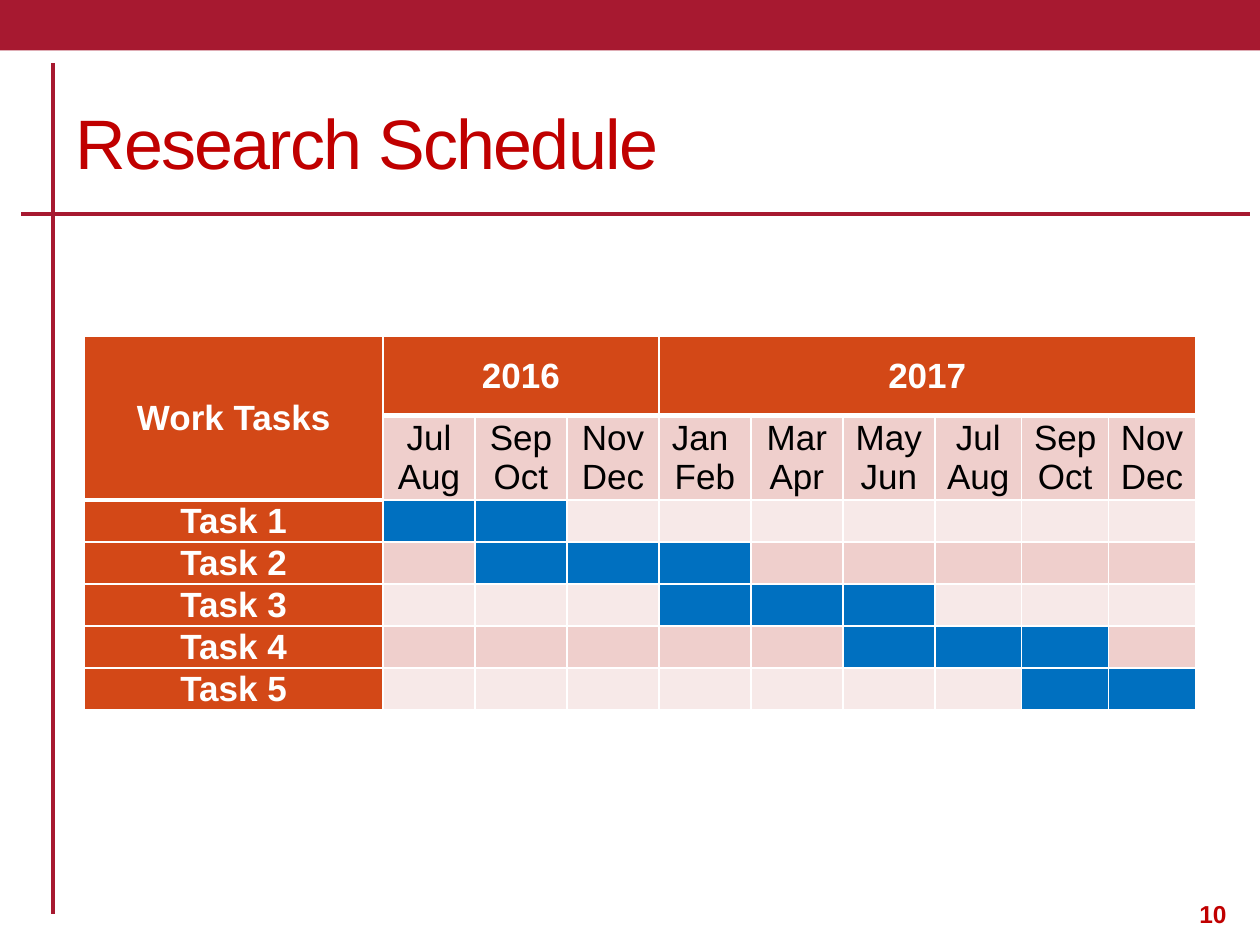
from lxml import etree
from pptx import Presentation
from pptx import util as u
from pptx.dml.color import RGBColor
from pptx.enum import shapes, text
from pptx.oxml import ns

WIDTH, HEIGHT = u.Inches(10), u.Inches(7.5)
CRIMSON, RED, ORANGE = "A71930", "C00000", "D34817"
BLUE, WHITE, BLACK = "0070C0", "FFFFFF", "000000"
BANDS = ["EFCFCC", "F7E9E8"]

COLUMN_WIDTHS = [2.37] + [0.73] * 6 + [0.69] * 3
ROW_HEIGHTS = [0.63] * 2 + [0.33] * 5
HEADINGS = [("Work Tasks", (0, 0), (1, 0)),
            ("2016", (0, 1), (0, 3)),
            ("2017", (0, 4), (0, 9))]
MONTHS = ["Jul\nAug", "Sep\nOct", "Nov Dec", "Jan \nFeb", "Mar\nApr",
          "May\nJun", "Jul\nAug", "Sep Oct", "Nov\nDec"]
# First and last active period of each task
TASKS = {"Task 1": (1, 2), "Task 2": (2, 4), "Task 3": (4, 6),
         "Task 4": (6, 8), "Task 5": (8, 9)}


def color(value):
    return RGBColor.from_string(value)


def place(*shares):
    """Turn shares of the slide's width and height into lengths."""
    return [round(share * side) for share, side in zip(shares, (WIDTH, HEIGHT) * 2)]


def paint(shape, value):
    shape.fill.solid()
    shape.fill.fore_color.rgb = color(value)


def set_text(frame, content, ink, align=text.PP_ALIGN.LEFT, **formats):
    frame.text = content
    for paragraph in frame.paragraphs:
        paragraph.alignment = align
        for run in paragraph.runs:
            run.font.color.rgb = color(ink)
            for name, value in {"name": "Arial", **formats}.items():
                setattr(run.font, name, value)


def add_band(slide, box, fill):
    shape = slide.shapes.add_shape(shapes.MSO_SHAPE.RECTANGLE, *place(*box))
    shape.shadow.inherit = False
    paint(shape, fill)
    shape.line.fill.background()


def add_rule(slide, ends):
    rule = slide.shapes.add_connector(shapes.MSO_CONNECTOR.STRAIGHT, *place(*ends))
    rule.line.color.rgb = color(CRIMSON)
    rule.line.width = u.Pt(2.08)
    etree.SubElement(rule._element.spPr, ns.qn("a:effectLst"))


def add_label(slide, box, content, **formats):
    frame = slide.shapes.add_textbox(*place(*box)).text_frame
    frame.word_wrap = True
    frame.vertical_anchor = text.MSO_ANCHOR.MIDDLE
    set_text(frame, content, RED, **formats)
    return frame


def add_borders(cell, row, column):
    """White cell edges, heavier under the headings."""
    def edge(boundary):
        return 3 if boundary == 1 or (boundary == 2 and column == 0) else 1

    properties = cell._tc.get_or_add_tcPr()
    widths = {"L": 1, "R": 1, "T": edge(row), "B": edge(row + 1)}
    for side, width in widths.items():
        line = etree.SubElement(properties, ns.qn(f"a:ln{side}"), w=str(u.Pt(width)))
        fill = etree.SubElement(line, ns.qn("a:solidFill"))
        etree.SubElement(fill, ns.qn("a:srgbClr"), val=WHITE)


def cell_fill(row, column):
    if row == 0 or column == 0:
        return ORANGE
    if row > 1:
        first, last = list(TASKS.values())[row - 2]
        if first <= column <= last:
            return BLUE
    return BANDS[(row - 1) % 2]


def add_schedule(slide, box):
    table = slide.shapes.add_table(
        len(ROW_HEIGHTS), len(COLUMN_WIDTHS), *place(*box)).table
    for column, width in zip(table.columns, COLUMN_WIDTHS):
        column.width = u.Inches(width)
    for row, height in zip(table.rows, ROW_HEIGHTS):
        row.height = u.Inches(height)

    # Cell format
    cell_format = {"margin_left": u.Inches(0.07), "margin_right": u.Inches(0.07),
                   "margin_top": 0, "margin_bottom": 0,
                   "vertical_anchor": text.MSO_ANCHOR.MIDDLE}
    for row in range(len(ROW_HEIGHTS)):
        for column in range(len(COLUMN_WIDTHS)):
            cell = table.cell(row, column)
            for name, value in cell_format.items():
                setattr(cell, name, value)
            add_borders(cell, row, column)
            paint(cell, cell_fill(row, column))

    # Wording
    def write(row, column, content, ink, bold):
        set_text(table.cell(row, column).text_frame, content, ink,
                 text.PP_ALIGN.CENTER, size=u.Pt(20), bold=bold)

    for content, start, end in HEADINGS:
        table.cell(*start).merge(table.cell(*end))
        write(*start, content, WHITE, True)
    for column, months in enumerate(MONTHS, 1):
        write(1, column, months, BLACK, False)
    for row, task in enumerate(TASKS, 2):
        write(row, 0, task, WHITE, True)


def main():
    presentation = Presentation()
    presentation.slide_width, presentation.slide_height = WIDTH, HEIGHT
    slide = presentation.slides.add_slide(presentation.slide_layouts[6])

    # Frame of the slide
    add_band(slide, (0, 0, 1, 0.4 / 7.5), CRIMSON)
    add_rule(slide, (0.017, 1.7 / 7.5, 0.992, 1.7 / 7.5))
    add_rule(slide, (0.042, 0.5 / 7.5, 0.042, 7.25 / 7.5))

    # Title, schedule and page number
    title = add_label(slide, (0.05, 0.58 / 7.5, 0.9, 1.08 / 7.5),
                      "Research Schedule", size=u.Pt(40))
    title.paragraphs[0].runs[0].font._element.set("spc", "-100")
    add_schedule(slide, (0.067, 2.67 / 7.5, 0.883, 2.96 / 7.5))
    add_label(slide, (0.942, 7.07 / 7.5, 0.05, 0.36 / 7.5),
              "10", size=u.Pt(14), bold=True)

    presentation.save("out.pptx")


if __name__ == "__main__":
    main()
